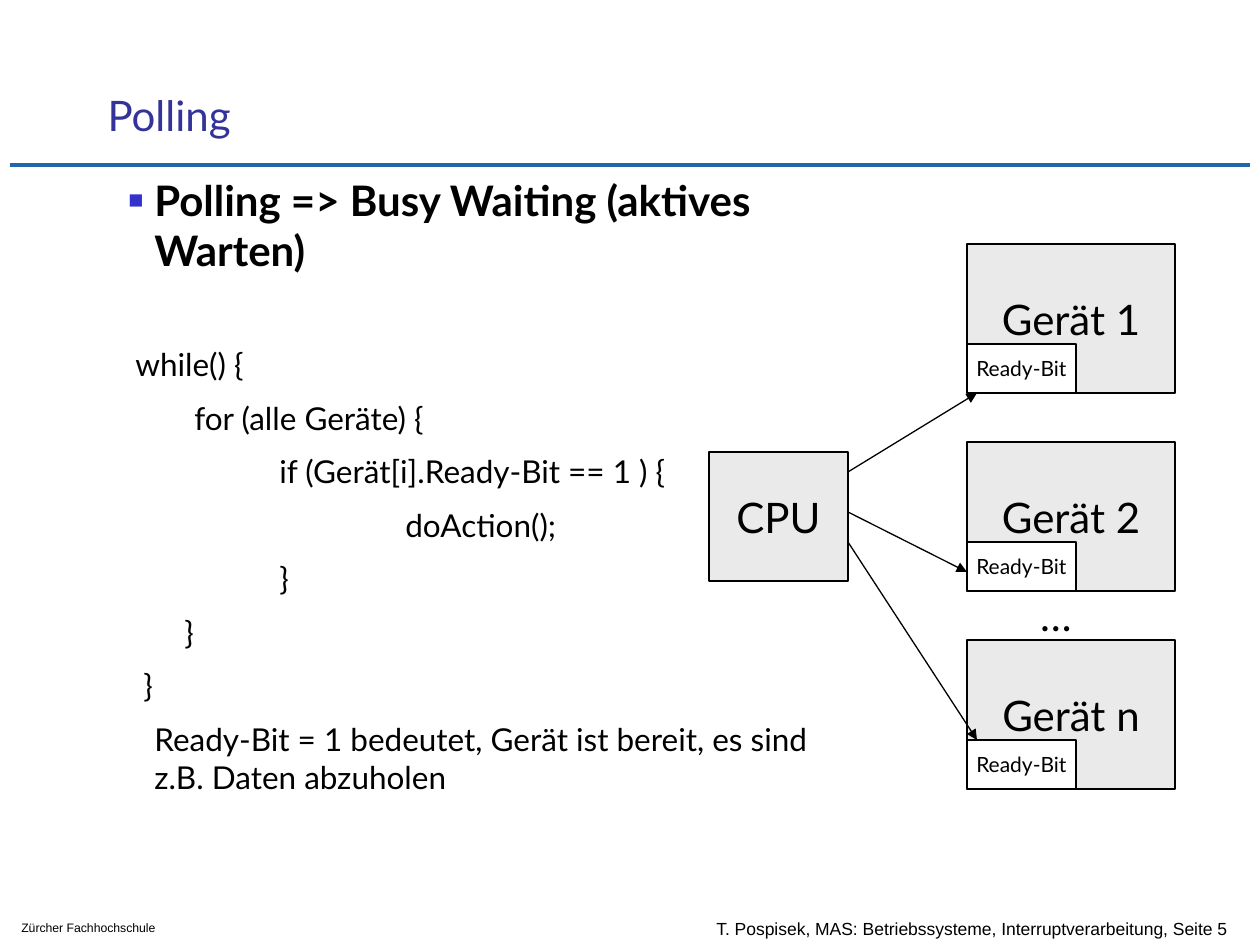
from dataclasses import dataclass

from lxml import etree
from pptx import Presentation
from pptx.dml.color import RGBColor
from pptx.enum.shapes import MSO_CONNECTOR, MSO_SHAPE
from pptx.enum.text import MSO_ANCHOR, MSO_AUTO_SIZE, PP_ALIGN
from pptx.oxml.ns import qn
from pptx.util import Pt

RECTANGLE = MSO_SHAPE.RECTANGLE
STRAIGHT = MSO_CONNECTOR.STRAIGHT
TOP, MIDDLE, BOTTOM = MSO_ANCHOR.TOP, MSO_ANCHOR.MIDDLE, MSO_ANCHOR.BOTTOM
LEFT, CENTER = PP_ALIGN.LEFT, PP_ALIGN.CENTER
NO_AUTOFIT = MSO_AUTO_SIZE.NONE
PX = 914400 / 126


@dataclass(frozen=True)
class Theme:
    ink: str = "000000"
    title: str = "333399"
    bullet: str = "3333CC"
    rule: str = "2266AB"
    box: str = "EAEAEA"
    ready: str = "FFFFFF"
    font: str = "Lato"
    footer_font: str = "Arial"
    large: int = 24
    code: int = 18
    small: int = 12
    footer: int = 10
    school: int = 7


THEME = Theme()


def px(*lengths):
    return [round(length * PX) for length in lengths]


def write(frame, text, size=THEME.large, font=THEME.font, color=THEME.ink, bold=False,
          align=LEFT, anchor=TOP, wrap=False, before=0, append=False):
    frame.word_wrap = wrap
    frame.auto_size = NO_AUTOFIT
    frame.vertical_anchor = anchor
    paragraph = frame.add_paragraph() if append else frame.paragraphs[0]
    paragraph.alignment = align
    paragraph.space_before = Pt(before)
    run = paragraph.add_run()
    run.text = text
    run.font.size = Pt(size)
    run.font.name = font
    run.font.bold = bold
    run.font.color.rgb = RGBColor.from_string(color)
    return paragraph


prs = Presentation()
prs.slide_width, prs.slide_height = px(1260, 945)
slide = prs.slides.add_slide(prs.slide_layouts[5])
shapes = slide.shapes

title = shapes.title
title.left, title.top, title.width, title.height = px(95, 42, 1073, 104)
write(title.text_frame, "Polling", color=THEME.title, anchor=BOTTOM, wrap=True)

footer = shapes.add_textbox(*px(704, 907, 667, 42))
write(footer.text_frame, "T. Pospisek, MAS: Betriebssysteme, Interruptverarbeitung, Seite 5",
      size=THEME.footer, font=THEME.footer_font, anchor=MIDDLE, wrap=True)
school = shapes.add_textbox(*px(9, 914, 217, 28))
write(school.text_frame, "Zürcher Fachhochschule",
      size=THEME.school, font=THEME.footer_font, wrap=True)

body = shapes.add_textbox(*px(116, 168, 733, 672)).text_frame
heading = write(body, "Polling => Busy Waiting (aktives Warten)",
                bold=True, wrap=True, before=12)
hanging, outdent = px(26, -26)
properties = heading._p.get_or_add_pPr()
properties.set("marL", str(hanging))
properties.set("indent", str(outdent))
bullet_color = etree.SubElement(properties, qn("a:buClr"))
etree.SubElement(bullet_color, qn("a:srgbClr"), val=THEME.bullet)
etree.SubElement(properties, qn("a:buSzPct"), val="60000")
etree.SubElement(properties, qn("a:buFont"), typeface=THEME.footer_font)
etree.SubElement(properties, qn("a:buChar"), char="■")

code_lines = [
    (7, "while() {"),
    (66, "for (alle Geräte) {"),
    (151, "if (Gerät[i].Ready-Bit == 1 ) {"),
    (277, "doAction();"),
    (151, "}"),
    (56, "}"),
    (15, "}"),
    (26, "Ready-Bit = 1 bedeutet, Gerät ist bereit, es sind z.B. Daten abzuholen"),
]
for number, (indent, code) in enumerate(code_lines):
    line = write(body, code, size=THEME.code, wrap=True,
                 before=9 if number else 40, append=True)
    line._p.get_or_add_pPr().set("marL", str(px(indent)[0]))

boxes = [("CPU", (709, 452, 139, 129), THEME.box, THEME.large)]
for number, device in enumerate(["Gerät 1", "Gerät 2", "Gerät n"]):
    device_top = 244 + 198 * number
    boxes += [
        (device, (967, device_top, 208, 149), THEME.box, THEME.large),
        ("Ready-Bit", (967, device_top + 100, 109, 49), THEME.ready, THEME.small),
    ]
for label, bounds, fill, size in boxes:
    box = shapes.add_shape(RECTANGLE, *px(*bounds))
    box.shadow.inherit = False
    box.fill.solid()
    box.fill.fore_color.rgb = RGBColor.from_string(fill)
    box.line.color.rgb = RGBColor.from_string(THEME.ink)
    box.line.width = Pt(0.75)
    write(box.text_frame, label, size=size, align=CENTER, anchor=MIDDLE)

lines = [
    ((10, 165, 1250, 165), THEME.rule, 2.5, False),
    ((848, 472, 977, 393), THEME.ink, 0.75, True),
    ((848, 512, 967, 572), THEME.ink, 0.75, True),
    ((848, 542, 977, 740), THEME.ink, 0.75, True),
]
for ends, color, width, arrow in lines:
    connector = shapes.add_connector(STRAIGHT, *px(*ends))
    connector.line.color.rgb = RGBColor.from_string(color)
    connector.line.width = Pt(width)
    if arrow:
        etree.SubElement(connector.line._get_or_add_ln(), qn("a:tailEnd"), type="triangle")
    etree.SubElement(connector._element.spPr, qn("a:effectLst"))

more_devices = shapes.add_textbox(*px(1027, 583, 58, 63))
write(more_devices.text_frame, "…", align=CENTER)

prs.save("out.pptx")
